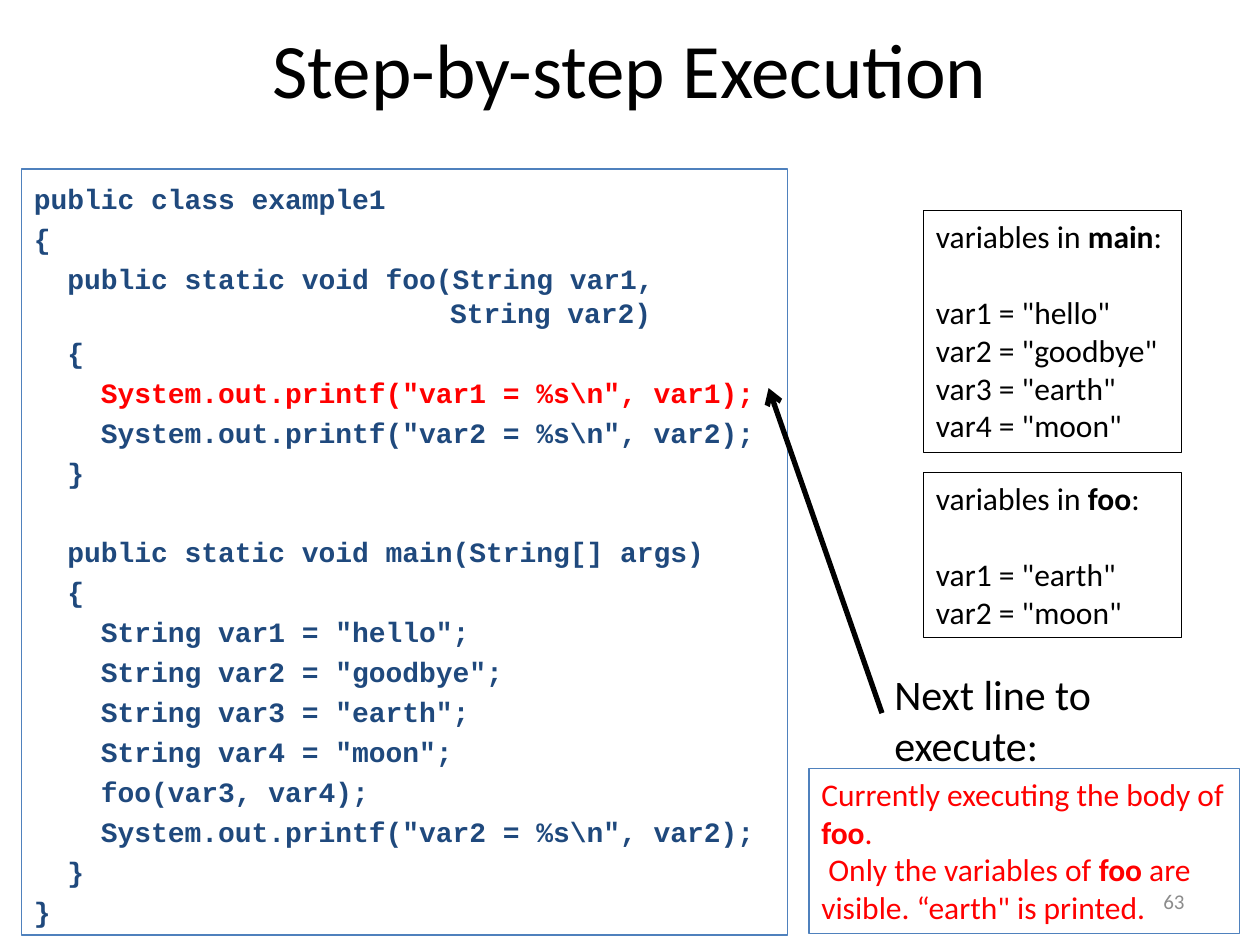
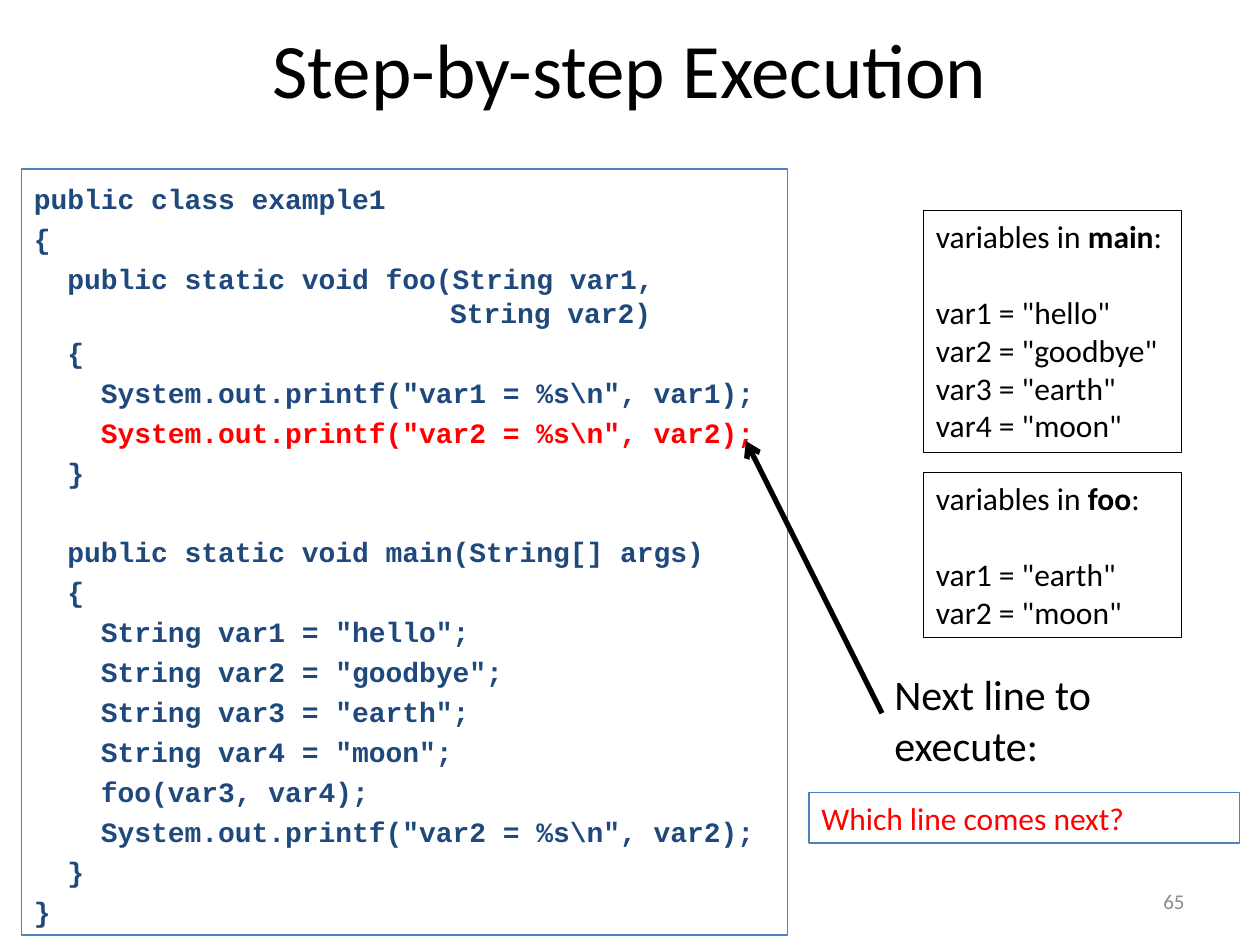
from dataclasses import dataclass
from lxml.etree import SubElement
from pptx import Presentation
from pptx.dml.color import RGBColor
from pptx.enum.shapes import MSO_CONNECTOR, MSO_SHAPE
from pptx.enum.text import MSO_ANCHOR, PP_ALIGN
from pptx.oxml.ns import qn
from pptx.util import Inches, Pt


@dataclass(frozen=True)
class Theme:
    sans: str = "Calibri"
    mono: str = "Courier New"
    ink: str = "000000"
    navy: str = "1F497D"
    blue: str = "4F81BD"
    red: str = "FF0000"
    gray: str = "8C8C8C"
    head: int = 44
    call: int = 24
    body: int = 18
    code: int = 16
    foot: int = 12
    edge: float = 0.75
    bold: float = 3
    gap: float = 3.7
    skip: float = 22


CODE = r'''public class example1
{
  public static void foo(String var1,
                      String var2)
  {
    System.out.printf("var1 = %s\n", var1);
    System.out.printf("var2 = %s\n", var2);
  }

  public static void main(String[] args)
  {
    String var1 = "hello";
    String var2 = "goodbye";
    String var3 = "earth";
    String var4 = "moon";
    foo(var3, var4);
    System.out.printf("var2 = %s\n", var2);
  }
}'''.replace("var1,\n", "var1,\v")

MAIN = ['var1 = "hello"', 'var2 = "goodbye"', 'var3 = "earth"', 'var4 = "moon"']
FOO = ['var1 = "earth"', 'var2 = "moon"']


class Deck:
    def __init__(self, theme):
        self.theme = theme
        self.prs = Presentation()
        self.prs.slide_width = Inches(10)
        self.prs.slide_height = Inches(7.5)
        self.slide = None

    def start(self, title):
        self.slide = self.prs.slides.add_slide(self.prs.slide_layouts[5])
        shape = self.slide.shapes.title
        shape.left, shape.top, shape.width, shape.height = map(Inches, (0.5, 0.08, 9, 0.92))
        frame = shape.text_frame
        frame.vertical_anchor = MSO_ANCHOR.MIDDLE
        frame.text = title
        frame.paragraphs[0].alignment = PP_ALIGN.CENTER
        self.style(frame.paragraphs[0], self.theme.head)

    def style(self, para, size, color=None, face=None, bold=False):
        for run in para.runs:
            font = run.font
            font.size = Pt(size)
            font.name = face or self.theme.sans
            font.color.rgb = RGBColor.from_string(color or self.theme.ink)
            font.bold = bold

    def label(self, area, text, size, color=None):
        box = self.slide.shapes.add_textbox(*map(Inches, area))
        frame = box.text_frame
        frame.word_wrap = True
        frame.text = text
        for para in frame.paragraphs:
            self.style(para, size, color)
        return frame

    def number(self, value):
        frame = self.label((7.17, 6.95, 2.33, 0.4), value, self.theme.foot, self.theme.gray)
        frame.vertical_anchor = MSO_ANCHOR.MIDDLE
        frame.paragraphs[0].alignment = PP_ALIGN.RIGHT

    def panel(self, area, lines, edge):
        box = self.slide.shapes.add_shape(MSO_SHAPE.RECTANGLE, *map(Inches, area))
        box.shadow.inherit = False
        box.fill.background()
        box.line.color.rgb = RGBColor.from_string(edge)
        box.line.width = Pt(self.theme.edge)
        frame = box.text_frame
        frame.word_wrap = True
        frame.vertical_anchor = MSO_ANCHOR.TOP
        frame.text = "\n".join(lines)
        for para in frame.paragraphs:
            para.alignment = PP_ALIGN.LEFT
        return frame

    def rich(self, area, lines, edge, color):
        frame = self.panel(area, lines, edge)
        for para in frame.paragraphs:
            parts = para.text.split("*")
            para.text = parts[0]
            for part in parts[1:]:
                para.add_run().text = part
            self.style(para, self.theme.body, color)
            for run in para.runs[1::2]:
                run.font.bold = True
        return frame

    def scope(self, top, height, name, lines):
        area = (7.33, top, 2.05, height)
        frame = self.rich(area, [f"variables in *{name}*:"] + lines, self.theme.ink, self.theme.ink)
        frame.paragraphs[1].space_before = Pt(self.theme.skip)

    def code(self, area, text, mark):
        theme = self.theme
        lines = text.split("\n")
        frame = self.panel(area, [line for line in lines if line], theme.blue)
        frame.margin_top = Inches(0.1)
        frame.margin_bottom = 0
        blank = lines.index("")
        for at, para in enumerate(frame.paragraphs):
            props = para._p.get_or_add_pPr()
            props.set("marL", str(Inches(0.38)))
            props.set("indent", str(Inches(-0.38)))
            if at:
                para.space_before = Pt(theme.skip + theme.gap if at == blank else theme.gap)
            color = theme.red if at == mark else theme.navy
            self.style(para, theme.code, color, theme.mono, True)

    def arrow(self, start, end):
        ends = map(Inches, start + end)
        link = self.slide.shapes.add_connector(MSO_CONNECTOR.STRAIGHT, *ends)
        link.line.color.rgb = RGBColor.from_string(self.theme.ink)
        link.line.width = Pt(self.theme.bold)
        SubElement(link.line._get_or_add_ln(), qn("a:tailEnd"), type="arrow")
        SubElement(link._element.spPr, qn("a:effectLst"))

    def step(self, page, mark, tip, top, height, note):
        theme = self.theme
        self.start("Step-by-step Execution")
        self.number(page)
        self.label((7, 5.26, 2.83, 0.91), "Next line to\vexecute:", theme.call)
        self.scope(1.67, 1.92, "main", MAIN)
        self.code((0.17, 1.34, 6.08, 6.08), CODE, mark)
        self.scope(3.75, 1.31, "foo", FOO)
        self.arrow((7, 5.66), tip)
        self.rich((6.42, top, 3.42, height), note, theme.blue, theme.red)


def main():
    deck = Deck(Theme())
    body = [
        "Currently executing the body of *foo*.",
        " Only the variables of *foo* are visible. “earth\" is printed.",
    ]
    deck.step("63", 4, (6.1, 3.08), 6.1, 1.31, body)
    deck.step("65", 5, (5.92, 3.5), 6.29, 0.4, ["Which line comes next?"])
    deck.prs.save("out.pptx")


if __name__ == "__main__":
    main()
